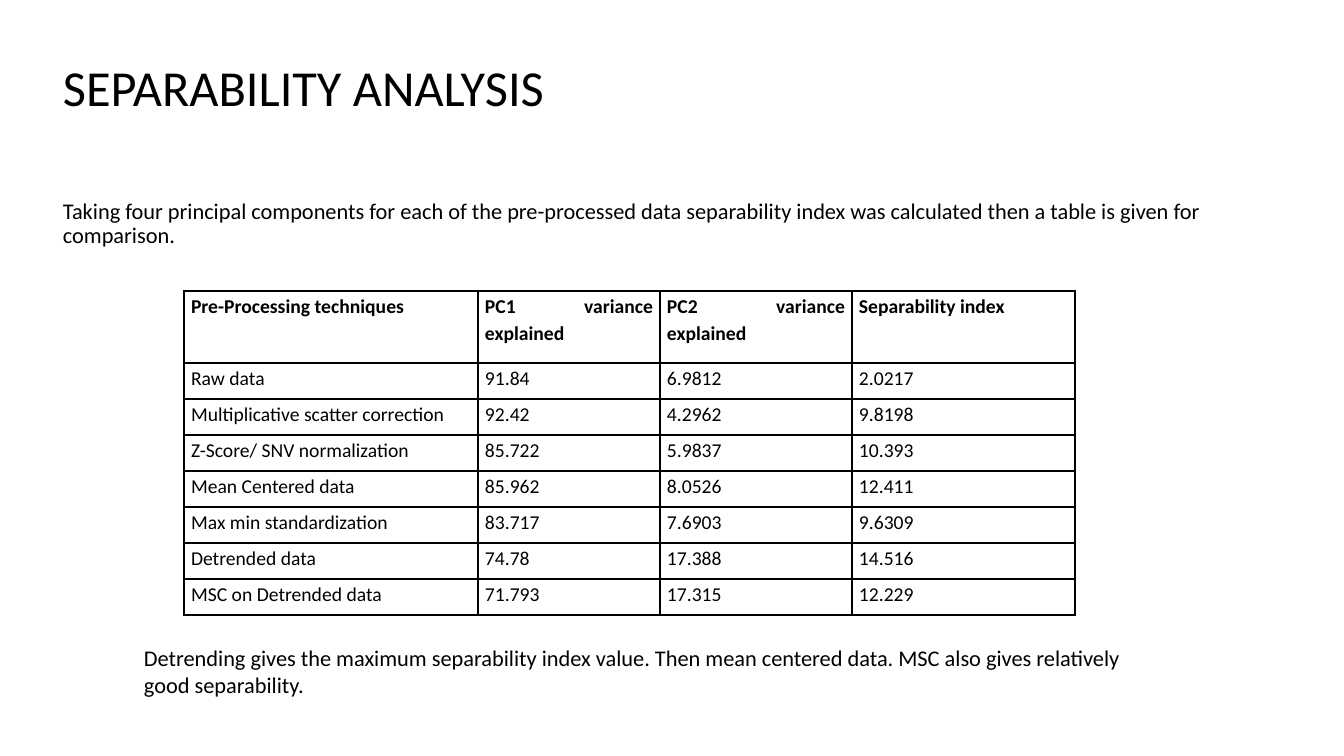
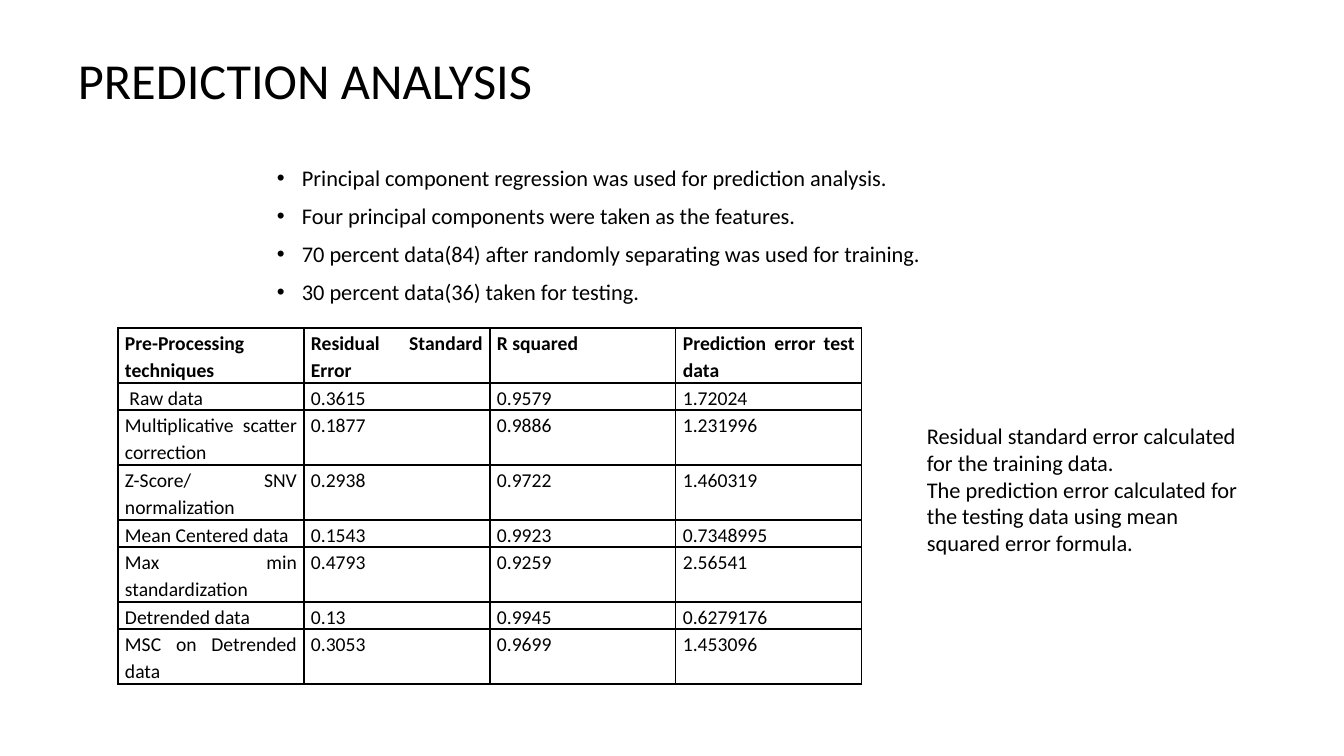
from lxml import etree
from pptx import Presentation
from pptx.dml.color import RGBColor
from pptx.enum.text import MSO_ANCHOR, PP_ALIGN
from pptx.oxml.ns import qn
from pptx.util import Emu, Pt

TOP, MIDDLE = MSO_ANCHOR.TOP, MSO_ANCHOR.MIDDLE
LEFT, JUSTIFY = PP_ALIGN.LEFT, PP_ALIGN.JUSTIFY

SLIDE_WIDTH, SLIDE_HEIGHT = 1344, 756
SCALE = 12192000 / SLIDE_WIDTH
FONT = "Calibri"
INK = "000000"
TITLE_SIZE, BODY_SIZE, TABLE_SIZE = 36, 16, 14
BULLET_INDENT = 25
CELL_MARGIN = 7

TECHNIQUES = [
    "Raw data",
    "Multiplicative scatter correction",
    "Z-Score/ SNV normalization",
    "Mean Centered data",
    "Max min standardization",
    "Detrended data",
    "MSC on Detrended data",
]
SEPARABILITY = [
    ("91.84", "6.9812", "2.0217"),
    ("92.42", "4.2962", "9.8198"),
    ("85.722", "5.9837", "10.393"),
    ("85.962", "8.0526", "12.411"),
    ("83.717", "7.6903", "9.6309"),
    ("74.78", "17.388", "14.516"),
    ("71.793", "17.315", "12.229"),
]
PREDICTION = [
    ("0.3615", "0.9579", "1.72024"),
    ("0.1877", "0.9886", "1.231996"),
    ("0.2938", "0.9722", "1.460319"),
    ("0.1543", "0.9923", "0.7348995"),
    ("0.4793", "0.9259", "2.56541"),
    ("0.13", "0.9945", "0.6279176"),
    ("0.3053", "0.9699", "1.453096"),
]


def px(length):
    return Emu(round(length * SCALE))


def color(value):
    return RGBColor.from_string(value)


def add_bullet(para):
    properties = para._p.get_or_add_pPr()
    properties.set("marL", str(px(BULLET_INDENT)))
    properties.set("indent", str(-px(BULLET_INDENT)))
    font = etree.SubElement(properties, qn("a:buFont"))
    font.set("typeface", "Arial")
    etree.SubElement(properties, qn("a:buChar")).set("char", "•")


def write(frame, lines, size=BODY_SIZE, bold=False, align=LEFT, spacing=1.0,
          before=0, anchor=TOP, bullets=False):
    frame.word_wrap = True
    frame.vertical_anchor = anchor
    for index, line in enumerate(lines):
        para = frame.add_paragraph() if index else frame.paragraphs[0]
        para.alignment = align
        para.line_spacing = spacing
        para.space_before = Pt(before)
        if bullets:
            add_bullet(para)
        span = para.add_run()
        span.text = line
        span.font.name = FONT
        span.font.size = Pt(size)
        span.font.bold = bold
        span.font.color.rgb = color(INK)


def add_text(page, box, *lines, **style):
    shape = page.shapes.add_textbox(*map(px, box))
    write(shape.text_frame, lines, **style)


def add_title(page, box, title):
    add_text(page, box, title, size=TITLE_SIZE, spacing=0.9, anchor=MIDDLE)


def add_body(page, box, *lines, bullets=False):
    add_text(page, box, *lines, spacing=0.9, before=10, bullets=bullets)


def add_borders(cell):
    properties = cell._tc.get_or_add_tcPr()
    for side in ("a:lnL", "a:lnR", "a:lnT", "a:lnB"):
        line = etree.SubElement(properties, qn(side))
        line.set("w", str(Pt(1)))
        fill = etree.SubElement(line, qn("a:solidFill"))
        etree.SubElement(fill, qn("a:srgbClr")).set("val", INK)


def add_data_table(page, left, top, widths, heights, rows):
    box = (left, top, sum(widths), sum(heights))
    frame = page.shapes.add_table(len(rows), len(widths), *map(px, box))
    table = frame.table
    table.first_row = table.horz_banding = False
    for column, width in zip(table.columns, widths):
        column.width = px(width)
    for index, (row, height, values) in enumerate(zip(table.rows, heights, rows)):
        row.height = px(height)
        for cell, value in zip(row.cells, values):
            cell.margin_left = cell.margin_right = px(CELL_MARGIN)
            cell.margin_top = cell.margin_bottom = 0
            write(cell.text_frame, [value], size=TABLE_SIZE, bold=index == 0,
                  align=JUSTIFY, spacing=1.15)
            add_borders(cell)
            cell.fill.background()


def build_separability(page):
    add_title(page, (53, 53, 1159, 74), "SEPARABILITY ANALYSIS")
    add_body(page, (53, 195, 1176, 70),
             "Taking four principal components for each of the pre-processed data "
             "separability index was calculated then a table is given for comparison.")
    header = ("Pre-Processing techniques", "PC1 variance explained",
              "PC2 variance explained", "Separability index")
    rows = [header] + [(name, *values) for name, values in zip(TECHNIQUES, SEPARABILITY)]
    add_data_table(page, 184, 291, [294, 182, 192, 223], [72] + [36] * 7, rows)
    add_text(page, (134, 639, 1027, 65),
             "Detrending gives the maximum separability index value. Then mean centered "
             "data. MSC also gives relatively good separability.")


def build_prediction(page):
    add_title(page, (68, 49, 1159, 68), "PREDICTION ANALYSIS")
    add_body(page, (267, 162, 726, 166),
             "Principal component regression was used for prediction analysis.",
             "Four principal components were taken as the features.",
             "70 percent data(84) after randomly separating was used for training.",
             "30 percent data(36) taken for testing.",
             bullets=True)
    header = ("Pre-Processing techniques", "Residual Standard Error",
              "R squared", "Prediction error test data")
    names = [" " + TECHNIQUES[0]] + TECHNIQUES[1:]
    rows = [header] + [(name, *values) for name, values in zip(names, PREDICTION)]
    single, double = 27, 55
    heights = [double, single, double, double, single, double, single, double]
    add_data_table(page, 118, 328, [186] * 4, heights, rows)
    add_text(page, (917, 417, 342, 146),
             "Residual standard error calculated for the training data.",
             "The prediction error calculated for the testing data using mean squared "
             "error formula.")


deck = Presentation()
deck.slide_width, deck.slide_height = px(SLIDE_WIDTH), px(SLIDE_HEIGHT)
for build in (build_separability, build_prediction):
    build(deck.slides.add_slide(deck.slide_layouts[6]))
deck.save("out.pptx")
